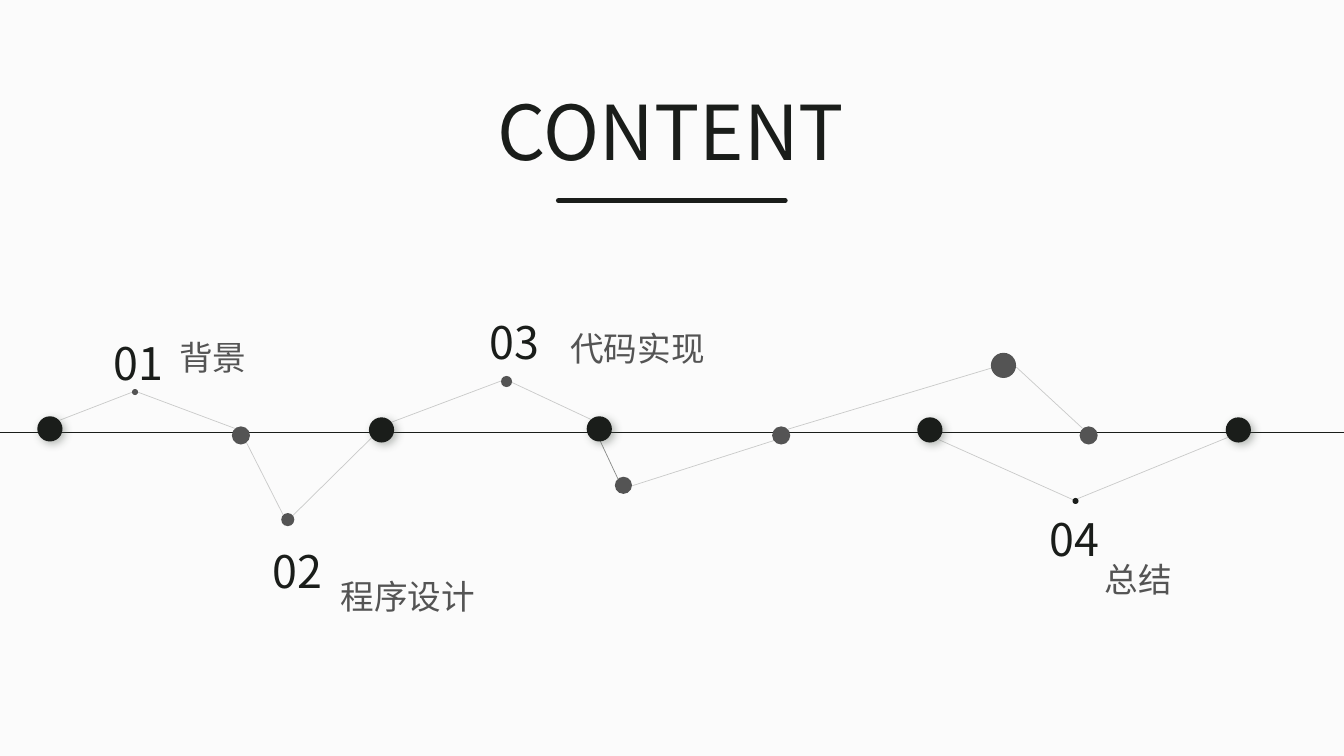
"""Build the CONTENT slide: four agenda items along a dotted timeline."""
from lxml import etree
from pptx import Presentation
from pptx.dml.color import RGBColor as RGB
from pptx.enum.shapes import MSO_CONNECTOR as CONN, MSO_SHAPE as SHAPE
from pptx.enum.text import MSO_AUTO_SIZE as FIT, PP_ALIGN as ALIGN
from pptx.oxml import parse_xml
from pptx.oxml.ns import nsdecls, qn
from pptx.util import Inches, Pt

THEME = dict(
    paper=RGB.from_string("FBFBFB"), ink=RGB.from_string("1A1D1A"),
    gray=RGB.from_string("545454"), font="Noto Sans CJK SC",
    title=54, number=32, label=24,
)
INK, GRAY = THEME["ink"], THEME["gray"]
CELL = Inches(0.1)
COLS, ROWS = 133.33, 75
SHADOW = (
    f'<a:effectLst {nsdecls("a")}>'
    f'<a:outerShdw blurRad="{Pt(6)}" dist="{Pt(3)}" dir="2700000" rotWithShape="0">'
    '<a:srgbClr val="505950"><a:alpha val="40000"/></a:srgbClr>'
    '</a:outerShdw></a:effectLst>'
)

prs = Presentation()
prs.slide_width, prs.slide_height = int(COLS * CELL), ROWS * CELL
s = prs.slides.add_slide(prs.slide_layouts[6])
s.background.fill.solid()
s.background.fill.fore_color.rgb = THEME["paper"]


def add_text(text, *box, size, color=INK, align=ALIGN.LEFT, wrap=False):
    """Add one line of text in a box given in grid cells."""
    tf = s.shapes.add_textbox(*(int(v * CELL) for v in box)).text_frame
    tf.word_wrap, tf.auto_size = wrap, FIT.SHAPE_TO_FIT_TEXT
    p = tf.paragraphs[0]
    p.alignment = align
    r = p.add_run()
    r.text = text
    r.font.size, r.font.name = Pt(THEME[size]), THEME["font"]
    r.font.color.rgb = color
    etree.SubElement(r._r.rPr, qn("a:ea"), typeface=THEME["font"])


add_text("CONTENT", 48.4, 7.9, 36.5, 10.1, size="title")

links = [
    (5.9, 41.7, 13.4, 38.8), (13.4, 38.8, 23.3, 42.5),
    (24.4, 43.8, 28.1, 51.1), (29, 51.2, 36.9, 43.4),
    (38.8, 41.9, 49.7, 37.8), (58.6, 41.6, 50.7, 37.9),
    (76.8, 43.7, 62.7, 48.2), (98.4, 36.5, 78.1, 42.6),
    (107.4, 42.5, 100.8, 36.4), (106.5, 49.6, 93.1, 43.6),
    (121.8, 43.4, 106.6, 49.6),
]
lines = [
    ((55.4, 19.9, 77.9, 19.9), 3.5, 100),
    ((0, 42.9, COLS, 42.9), 0.75, 100),
    *((link, 0.5, 21) for link in links),
    ((59.1, 42.8, 61.3, 47.5), 0.5, 51),
]
for ends, width, opacity in lines:
    sp = s.shapes.add_connector(CONN.STRAIGHT, *(int(v * CELL) for v in ends))
    sp.line.width, sp.line.color.rgb = Pt(width), INK
    ln = sp.line._ln
    if width > 1:
        ln.set("cap", "rnd")
    if opacity < 100:
        etree.SubElement(ln.find(".//" + qn("a:srgbClr")), qn("a:alpha"), val=str(opacity * 1000))
    etree.SubElement(sp._element.spPr, qn("a:effectLst"))

dots = [
    *((x, y, 2.5, INK) for x, y in (
        (4.95, 42.55), (37.85, 42.65), (59.45, 42.55), (92.25, 42.65), (122.85, 42.65))),
    *((x, 43.2, 1.8, GRAY) for x in (23.9, 77.5, 108)),
    (28.55, 51.55, 1.3, GRAY), (50.25, 37.85, 1.1, GRAY),
    (61.85, 48.15, 1.7, GRAY), (99.55, 36.25, 2.5, GRAY),
    (13.4, 38.9, 0.6, GRAY), (106.7, 49.7, 0.6, INK),
]
for x, y, d, color in dots:
    box = (x - d / 2, y - d / 2, d, d)
    sp = s.shapes.add_shape(SHAPE.OVAL, *(int(v * CELL) for v in box))
    sp.fill.solid()
    sp.fill.fore_color.rgb = color
    sp.line.fill.background()
    if color == INK and d > 1:
        sp._element.spPr.append(parse_xml(SHADOW))
    else:
        sp.shadow.inherit = False

items = [
    ("背景", (4.1, 32.8), (16.8, 32.9), 8.8),
    ("程序设计", (19.9, 53.4), (32.8, 56.6), 15.5),
    ("代码实现", (41.4, 30.7), (55.6, 32), 15.5),
    ("总结", (96.9, 50.3), (108.6, 55), 8.8),
]
for i, (label, number_at, label_at, width) in enumerate(items, 1):
    add_text(f"{i:02}", *number_at, 19.3, 6.4, size="number", align=ALIGN.CENTER, wrap=True)
    add_text(label, *label_at, width, 5, size="label", color=GRAY)

prs.save("out.pptx")
